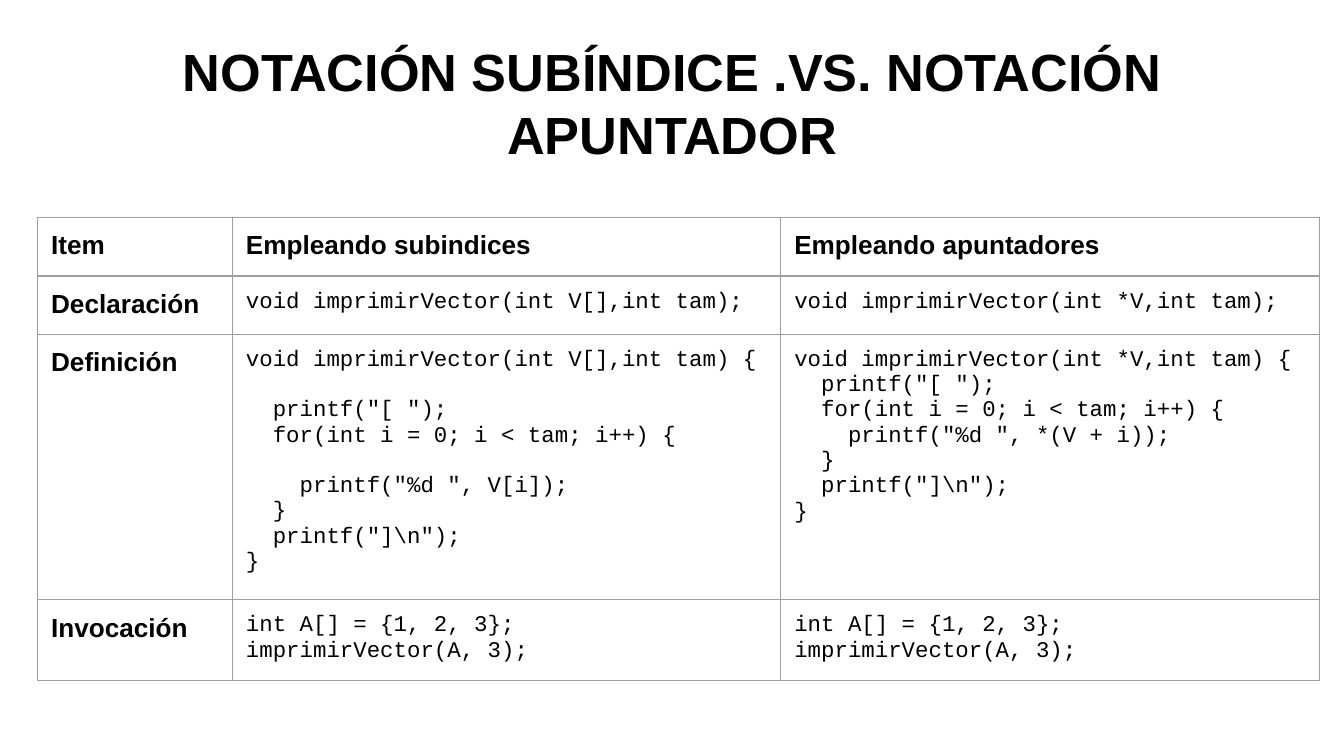
"""Build a slide that compares subscript and pointer notation in C."""
from dataclasses import dataclass

from lxml import etree
from pptx import Presentation
from pptx.dml.color import RGBColor
from pptx.enum.text import MSO_ANCHOR, PP_ALIGN
from pptx.oxml.ns import qn
from pptx.util import Inches, Pt

TOP = MSO_ANCHOR.TOP
CENTER = PP_ALIGN.CENTER
WIDE = 10
HIGH = WIDE * 9 / 16
PAD = Inches(0.1)
COLS = (1.45, 4.08, 4.01)
STEP = 0.42
COLORS = {"text": "000000", "line": "9E9E9E", "back": "FFFFFF"}


@dataclass(frozen=True)
class Style:
    face: str
    size: int
    bold: bool


@dataclass(frozen=True)
class Row:
    cells: tuple[str, ...]
    gaps: tuple[int, ...] = ()


HEAD = Style("Arial", 28, True)
LABEL = Style("Arial", 14, True)
CODE = Style("Courier New", 12, False)
LINE = Pt(13.5)


def define(arg: str, item: str) -> str:
    return "\n".join((
        f"void imprimirVector(int {arg},int tam) {{",
        '  printf("[ ");',
        "  for(int i = 0; i < tam; i++) {",
        f'    printf("%d ", {item});',
        "  }",
        '  printf("]\\n");',
        "}",
    ))


CALL = "int A[] = {1, 2, 3};\nimprimirVector(A, 3);"
ROWS = (
    Row(("Item", "Empleando subindices", "Empleando apuntadores")),
    Row(("Declaración", "void imprimirVector(int V[],int tam);",
         "void imprimirVector(int *V,int tam);")),
    Row(("Definición", define("V[]", "V[i]"), define("*V", "*(V + i)")), (0, 2)),
    Row(("Invocación", CALL, CALL)),
)


def write(frame, text: str, style: Style) -> None:
    frame.word_wrap = True
    frame.text = text
    for para in frame.paragraphs:
        font = para.font
        font.name, font.size, font.bold = style.face, Pt(style.size), style.bold
        font.color.rgb = RGBColor.from_string(COLORS["text"])


def border(cell) -> None:
    props = cell._tc.get_or_add_tcPr()
    for spot, side in enumerate(("lnL", "lnR", "lnT", "lnB")):
        line = etree.Element(qn(f"a:{side}"), w=str(Pt(0.75)))
        fill = etree.SubElement(line, qn("a:solidFill"))
        etree.SubElement(fill, qn("a:srgbClr"), val=COLORS["line"])
        props.insert(spot, line)


def add_title(slide, text: str) -> None:
    box = slide.shapes.add_textbox(
        Inches(0.034 * WIDE), Inches(0.034 * HIGH), Inches(0.932 * WIDE), Inches(0.63))
    frame = box.text_frame
    write(frame, text, HEAD)
    frame.vertical_anchor = TOP
    frame.margin_left = frame.margin_right = PAD
    frame.margin_top = frame.margin_bottom = PAD
    frame.paragraphs[0].alignment = CENTER


def add_grid(slide, rows: tuple[Row, ...]) -> None:
    table = slide.shapes.add_table(
        len(rows), len(COLS), Inches(0.028 * WIDE), Inches(0.288 * HIGH),
        Inches(sum(COLS)), Inches(STEP * len(rows))).table
    table.first_row = table.horz_banding = False
    for col, wide in zip(table.columns, COLS):
        col.width = Inches(wide)
    for r, row in enumerate(rows):
        table.rows[r].height = Inches(STEP)
        for c, text in enumerate(row.cells):
            cell = table.cell(r, c)
            write(cell.text_frame, text, CODE if r and c else LABEL)
            cell.vertical_anchor = TOP
            cell.margin_left = cell.margin_right = PAD
            cell.margin_top = cell.margin_bottom = PAD
            cell.fill.solid()
            cell.fill.fore_color.rgb = RGBColor.from_string(COLORS["back"])
            border(cell)
            if c == 1:
                for gap in row.gaps:
                    cell.text_frame.paragraphs[gap].space_after = LINE


def main() -> None:
    deck = Presentation()
    deck.slide_width, deck.slide_height = Inches(WIDE), Inches(HIGH)
    slide = deck.slides.add_slide(deck.slide_layouts[6])
    add_title(slide, "NOTACIÓN SUBÍNDICE .VS. NOTACIÓN APUNTADOR")
    add_grid(slide, ROWS)
    deck.save("out.pptx")


if __name__ == "__main__":
    main()
